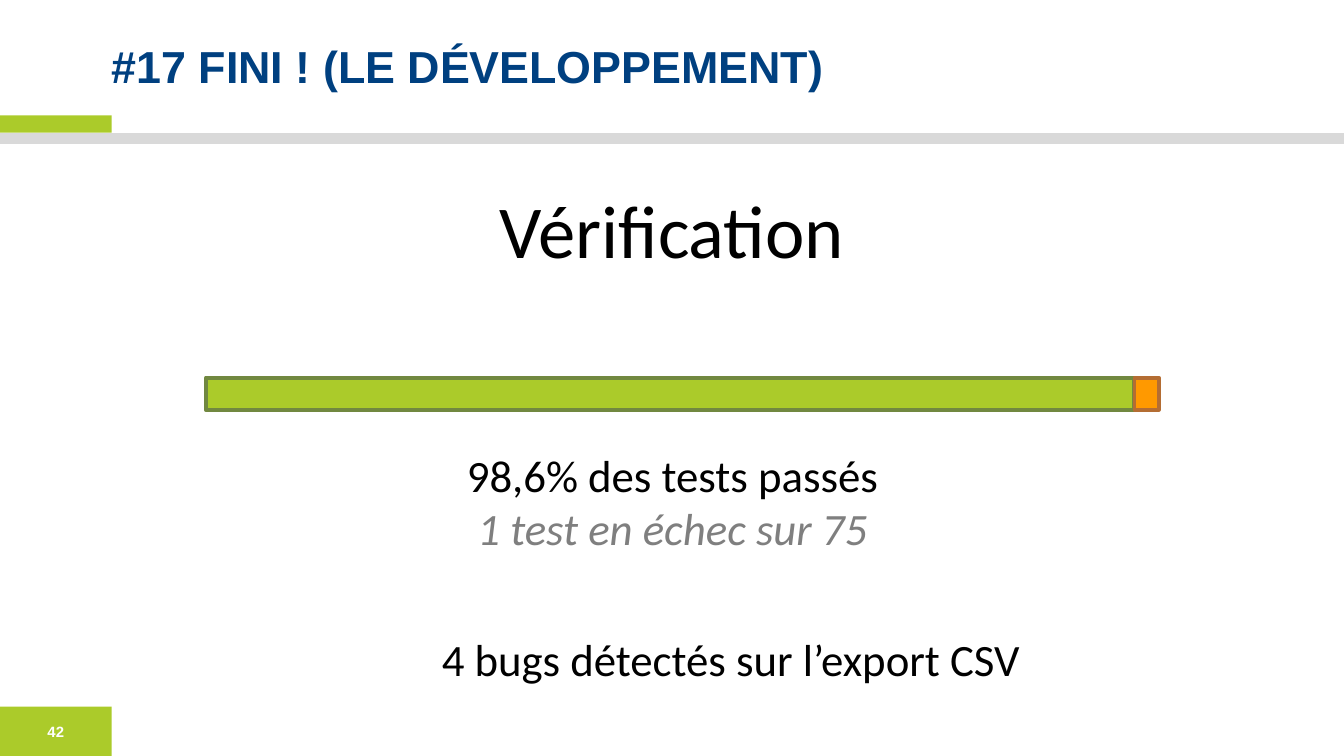
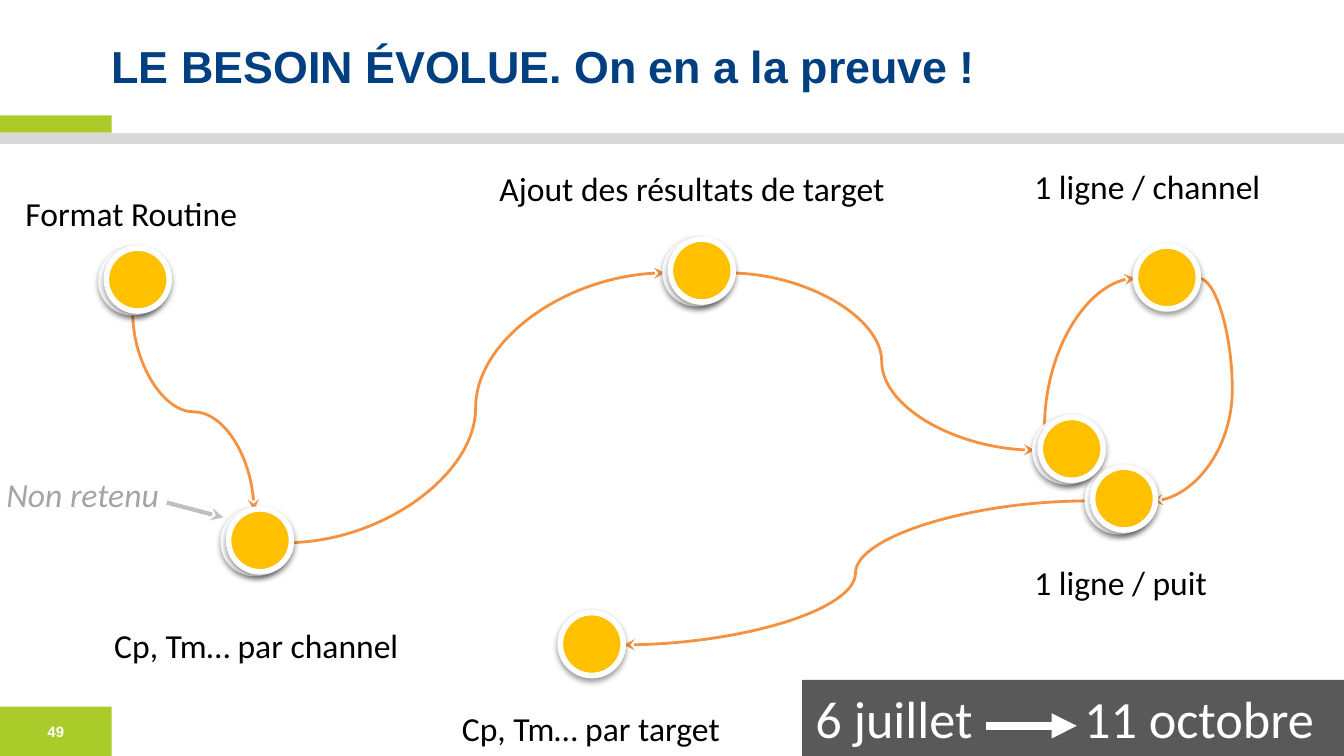
from lxml.etree import SubElement
from pptx import Presentation
from pptx.dml.color import RGBColor
from pptx.enum.shapes import MSO_CONNECTOR, MSO_SHAPE
from pptx.enum.text import MSO_ANCHOR, MSO_AUTO_SIZE, PP_ALIGN
from pptx.oxml.ns import qn
from pptx.util import Cm, Pt

GREEN, NAVY, GREY, WHITE, BLACK = "ABCB2A", "004080", "D9D9D9", "FFFFFF", "000000"
AMBER, BLUE, ORANGE = "FFC000", "2D2DB9", "F5913F"
SLIDE_W, SLIDE_H = 25.4, 14.29
MARGIN = 2.11
DOT = 1.19


def rgb(value):
    return RGBColor.from_string(value)


def write(tf, text, size=18, color=BLACK, font="Calibri", bold=False,
          italic=False, align=PP_ALIGN.LEFT):
    p = tf.add_paragraph() if tf.text else tf.paragraphs[0]
    p.alignment = align
    r = p.add_run()
    r.text = text
    r.font.name = font
    r.font.size = Pt(size)
    r.font.bold = bold
    r.font.italic = italic
    r.font.color.rgb = rgb(color)


def add_label(shapes, text, x, y, w, h=1.02, **style):
    tf = shapes.add_textbox(Cm(x), Cm(y), Cm(w), Cm(h)).text_frame
    tf.word_wrap = True
    write(tf, text, **style)
    return tf


def add_block(shapes, x, y, w, h, fill, line=None, width=2, kind=MSO_SHAPE.RECTANGLE):
    sp = shapes.add_shape(kind, Cm(x), Cm(y), Cm(w), Cm(h))
    sp.shadow.inherit = False
    sp.fill.solid()
    sp.fill.fore_color.rgb = rgb(fill)
    if line:
        sp.line.color.rgb = rgb(line)
        sp.line.width = Pt(width)
    else:
        sp.line.fill.background()
    return sp


def add_dot(shapes, x, y, fill=AMBER):
    sp = add_block(shapes, x, y, DOT, DOT, fill, WHITE, 3, MSO_SHAPE.OVAL)
    effects = sp._element.spPr.find(qn("a:effectLst"))
    shadow = SubElement(effects, qn("a:outerShdw"), blurRad=str(Pt(3.1)),
                        dist=str(Pt(1.6)), dir="5400000", rotWithShape="0")
    color = SubElement(shadow, qn("a:srgbClr"), val=BLACK)
    SubElement(color, qn("a:alpha"), val="38000")


def add_line(shapes, start, end, color, width, head=None, kind=MSO_CONNECTOR.STRAIGHT):
    c = shapes.add_connector(kind, *[Cm(v) for v in (*start, *end)])
    c.line.color.rgb = rgb(color)
    c.line.width = Pt(width)
    if head:
        SubElement(c.line._get_or_add_ln(), qn("a:tailEnd"), type=head)
    SubElement(c._element.spPr, qn("a:effectLst"))
    return c


def add_curve(shapes, start, end, vertical=False, bend=None, preset="curvedConnector3"):
    if vertical:
        mx, my = (start[0] + end[0]) / 2, (start[1] + end[1]) / 2
        a, b = (end[1] - start[1]) / 2, (start[0] - end[0]) / 2
        start, end = (mx - a, my - b), (mx + a, my + b)
    c = add_line(shapes, start, end, ORANGE, 1.5, "stealth", MSO_CONNECTOR.CURVE)
    spPr = c._element.spPr
    if vertical:
        spPr.find(qn("a:xfrm")).set("rot", "5400000")
    geom = spPr.find(qn("a:prstGeom"))
    geom.set("prst", preset)
    if bend is not None:
        SubElement(geom.find(qn("a:avLst")), qn("a:gd"), name="adj1",
                   fmla=f"val {round(bend * 100000)}")


def add_slide(prs, title, number):
    s = prs.slides.add_slide(prs.slide_layouts[5])
    add_block(s.shapes, 0, 2.18, MARGIN, 0.33, GREEN)
    add_line(s.shapes, (0, 2.62), (SLIDE_W, 2.62), GREY, 6.25)
    add_block(s.shapes, 0, 13.36, MARGIN, 0.93, GREEN)
    add_label(s.shapes, str(number), 0.38, 13.54, 1.35, 0.58, size=8, color=WHITE,
              font="Arial", bold=True, align=PP_ALIGN.CENTER)
    sp = s.shapes.title
    sp.left, sp.top, sp.width, sp.height = Cm(MARGIN), Cm(0), Cm(20.17), Cm(2.49)
    tf = sp.text_frame
    tf.margin_left = tf.margin_right = tf.margin_top = tf.margin_bottom = 0
    tf.vertical_anchor = MSO_ANCHOR.MIDDLE
    tf.auto_size = MSO_AUTO_SIZE.NONE
    tf.word_wrap = True
    write(tf, title, size=24, color=NAVY, font="Arial", bold=True)
    return s


def build_verification(prs):
    shapes = add_slide(prs, "#17 FINI ! (LE DÉVELOPPEMENT)", 42).shapes
    add_label(shapes, "Vérification", 0, 3.35, SLIDE_W, 2.57, size=40,
              align=PP_ALIGN.CENTER)
    add_label(shapes, "4 bugs détectés sur l’export CSV", 8.1, 11.81, 11.61, 1.3, size=24)
    tf = add_label(shapes, "98,6% des tests passés", 8.53, 8.33, 8.36, 2.31, size=24,
                   align=PP_ALIGN.CENTER)
    write(tf, "1 test en échec sur 75", size=24, color="7F7F7F", italic=True,
          align=PP_ALIGN.CENTER)
    x = 3.89
    for width, fill, line in ((17.55, GREEN, "718840"), (0.46, "FF9900", "B46D33")):
        add_block(shapes, x, 7.14, width, 0.61, fill, line)
        x += width


def add_period(slide):
    shapes = slide.shapes.add_group_shape().shapes
    top = 12.85
    add_block(shapes, 15.16, top, 10.24, 1.44, "595959")
    add_label(shapes, "6 juillet", 15.16, top, 3.96, 1.8, size=28, color=WHITE)
    add_label(shapes, "11 octobre", 20.24, top, 4.88, 1.8, size=28, color=WHITE)
    add_line(shapes, (18.64, 13.72), (20.35, 13.72), WHITE, 4.5, "triangle")


def build_evolution(prs):
    s = add_slide(prs, "LE BESOIN ÉVOLUE. On en a la preuve !", 49)
    shapes = s.shapes
    for text, x, y, w in (
        ("Cp, Tm… par channel", 1.91, 11.68, 5.94),
        ("Ajout des résultats de target", 9.19, 3.05, 7.87),
        ("1 ligne / puit", 19.3, 10.49, 3.81),
        ("1 ligne / channel", 19.3, 3.02, 4.85),
        ("Cp, Tm… par target", 8.48, 13.26, 5.44),
        ("Format Routine", 0.23, 3.53, 4.57),
    ):
        add_label(shapes, text, x, y, w)

    add_curve(shapes, (2.51, 5.92), (4.8, 9.65), vertical=True)
    add_curve(shapes, (5.41, 10.26), (12.57, 5.16))
    add_curve(shapes, (13.77, 5.16), (19.56, 8.51))
    add_curve(shapes, (19.74, 8.1), (21.46, 5.26), vertical=True, preset="curvedConnector2")
    add_curve(shapes, (22.66, 5.26), (21.77, 9.47), bend=-0.71)
    add_curve(shapes, (20.55, 9.47), (11.79, 12.19))

    doubles = ((12.57, 4.55), (4.22, 9.65), (19.56, 7.92), (1.91, 4.72), (20.55, 8.86))
    for x, y in doubles:
        add_dot(shapes, x, y, BLUE)
    for x, y in ((21.46, 4.65), (10.59, 11.58)):
        add_dot(shapes, x, y)
    for x, y in doubles:
        add_dot(shapes, x + 0.1, y - 0.03)

    add_period(s)
    add_line(shapes, (3.15, 9.5), (4.22, 9.78), "BFBFBF", 2.25, "stealth")
    add_label(shapes, "Non retenu", -0.13, 8.84, 3.43, color="A5A5A5", italic=True)


def main():
    prs = Presentation()
    prs.slide_width, prs.slide_height = Cm(SLIDE_W), Cm(SLIDE_H)
    build_verification(prs)
    build_evolution(prs)
    prs.save("out.pptx")


if __name__ == "__main__":
    main()
